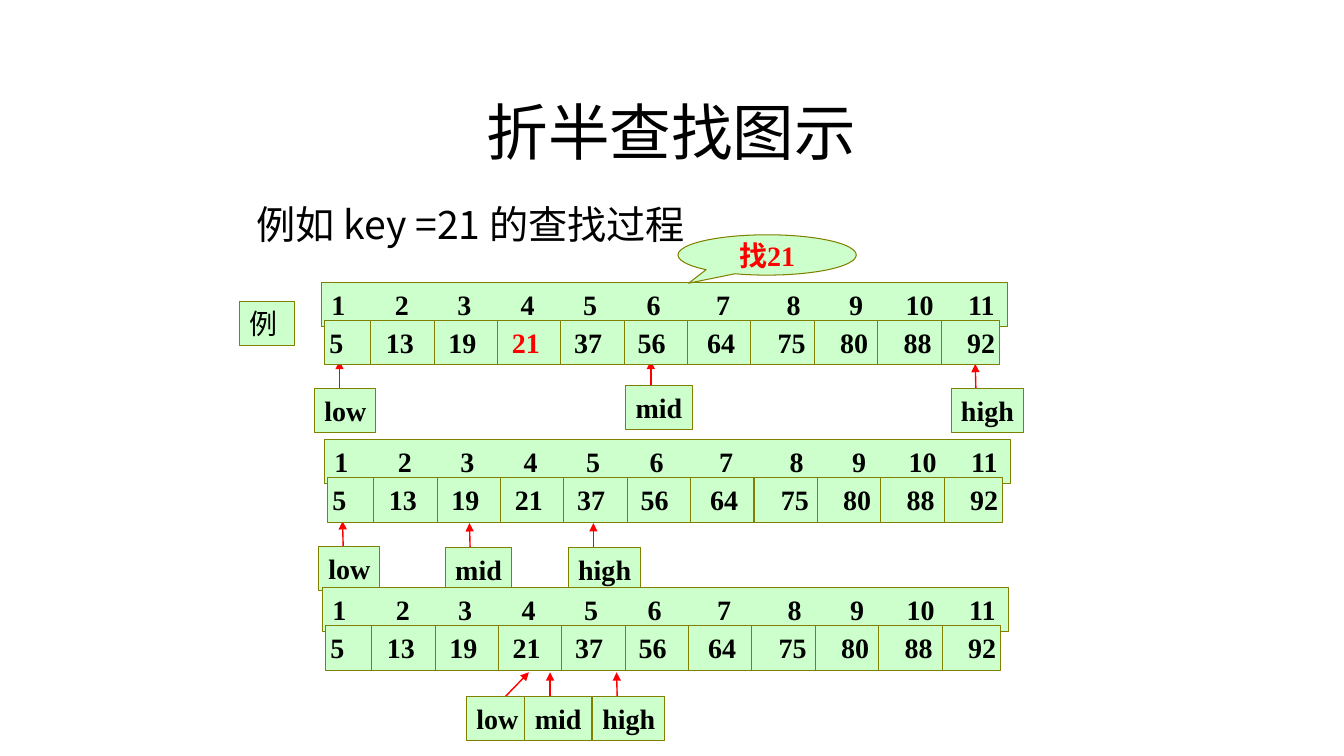
from lxml.etree import SubElement
from pptx import Presentation
from pptx.dml.color import RGBColor
from pptx.enum.shapes import MSO_CONNECTOR, MSO_SHAPE
from pptx.enum.text import MSO_ANCHOR, PP_ALIGN
from pptx.oxml.ns import qn
from pptx.util import Inches, Pt

SERIF = "Times New Roman"
SANS = "Noto Sans CJK SC"
GREEN, OLIVE, RED, BLACK = "CCFFCC", "808000", "FF0000", "000000"

ROW = 0.44
CELL = 0.629
FIRST_CELL = 0.46
LABEL_WIDTHS = {"low": 0.61, "mid": 0.66, "high": 0.72}

INDEXES = [str(number) for number in range(1, 12)]
VALUES = ["5", "13", "19", "21", "37", "56", "64", "75", "80", "88", "92"]
INDEX_TABS = [0.63, 1.25, 1.88, 2.5, 3.13, 3.82, 4.52, 5.14, 5.7, 6.32]
VALUE_TABS = [0.56, 1.18, 1.81, 2.43, 3.06, 3.75, 4.45, 5.07, 5.7, 6.33]

# Array left and top, value in red, then pointers: name, label left and top, arrow tip
STEPS = [
    (3.19, 2.8, "21", [("low", 3.12, 3.85, 3.37, 3.58),
                       ("high", 9.44, 3.85, 9.68, 3.61),
                       ("mid", 6.21, 3.82, 6.46, 3.58)]),
    (3.22, 4.36, None, [("low", 3.16, 5.42, 3.4, 5.17),
                        ("high", 5.64, 5.43, 5.89, 5.19),
                        ("mid", 4.42, 5.43, 4.66, 5.19)]),
    (3.2, 5.83, None, [("low", 4.63, 6.91, 5.25, 6.67),
                       ("high", 5.88, 6.91, 6.12, 6.67),
                       ("mid", 5.21, 6.91, 5.46, 6.67)]),
]


def rgb(color):
    return RGBColor.from_string(color)


def style_text(shape, size=20, font=SERIF, color=BLACK, bold=True,
               align=PP_ALIGN.LEFT, anchor=MSO_ANCHOR.TOP, wrap=False):
    frame = shape.text_frame
    frame.word_wrap = wrap
    frame.vertical_anchor = anchor
    paragraph = frame.paragraphs[0]
    paragraph.alignment = align
    paragraph.font.size = Pt(size)
    paragraph.font.name = font
    paragraph.font.bold = bold
    paragraph.font.color.rgb = rgb(color)


def add_text(slide, text, left, top, width, height, **style):
    box = slide.shapes.add_textbox(*map(Inches, (left, top, width, height)))
    box.text_frame.text = text
    style_text(box, bold=False, **style)


def add_green_shape(slide, left, top, width, height, kind=MSO_SHAPE.RECTANGLE):
    shape = slide.shapes.add_shape(kind, *map(Inches, (left, top, width, height)))
    shape.shadow.inherit = False
    shape.fill.solid()
    shape.fill.fore_color.rgb = rgb(GREEN)
    shape.line.color.rgb = rgb(OLIVE)
    shape.line.width = Pt(0.75)
    return shape


def add_label(slide, text, left, top, width, **style):
    label = add_green_shape(slide, left, top, width, ROW)
    label.text_frame.text = text
    style_text(label, **style)


def add_line(slide, start, end, color, width, arrow=False):
    line = slide.shapes.add_connector(MSO_CONNECTOR.STRAIGHT, *map(Inches, (*start, *end)))
    line.line.color.rgb = rgb(color)
    line.line.width = Pt(width)
    properties = line._element.spPr
    if arrow:
        SubElement(properties.find(qn("a:ln")), qn("a:tailEnd"), type="triangle")
    SubElement(properties, qn("a:effectLst"))


def add_strip(slide, numbers, tabs, left, top, width, inset, highlight=None):
    """Draw one band of numbers, each set at its own tab stop."""
    strip = add_green_shape(slide, left, top, width, ROW)
    frame = strip.text_frame
    frame.margin_left, frame.margin_right = Inches(inset), 0
    paragraph = frame.paragraphs[0]
    tab_list = SubElement(paragraph._p.get_or_add_pPr(), qn("a:tabLst"))
    for position in tabs:
        SubElement(tab_list, qn("a:tab"), pos=str(Inches(position)), algn="l")
    for column, number in enumerate(numbers):
        run = paragraph.add_run()
        run.text = f"\t{number}" if column else number
        if number == highlight:
            run.font.color.rgb = rgb(RED)
    style_text(strip, wrap=True)


def add_array(slide, left, top, highlight):
    add_strip(slide, INDEXES, INDEX_TABS, left, top, 6.81, 0.1)
    left, top = left + 0.03, top + 0.38
    add_strip(slide, VALUES, VALUE_TABS, left, top, 6.7, 0.05, highlight)
    for column in range(len(VALUES) - 1):
        x = left + FIRST_CELL + column * CELL
        add_line(slide, (x, top), (x, top + ROW), OLIVE, 0.75)


def add_pointer(slide, name, left, top, tip_x, tip_y):
    add_line(slide, (left + 0.25, top + 0.14), (tip_x, tip_y), RED, 1, arrow=True)
    add_label(slide, name, left, top, LABEL_WIDTHS[name])


def add_callout(slide):
    callout = add_green_shape(slide, 6.73, 2.33, 1.77, 0.4, MSO_SHAPE.OVAL_CALLOUT)
    callout.adjustments[0], callout.adjustments[1] = -0.44, 0.7
    callout.text_frame.text = "找21"
    style_text(callout, color=RED, align=PP_ALIGN.CENTER, anchor=MSO_ANCHOR.MIDDLE)


def main():
    presentation = Presentation()
    presentation.slide_width = Inches(13.34)
    presentation.slide_height = Inches(7.5)
    slide = presentation.slides.add_slide(presentation.slide_layouts[6])

    add_text(slide, "折半查找图示", 1, 0.67, 11.33, 1.25, size=44,
             align=PP_ALIGN.CENTER, anchor=MSO_ANCHOR.MIDDLE, wrap=True)
    add_label(slide, "例", 2.38, 2.99, 0.54, bold=False)
    for left, top, highlight, pointers in STEPS:
        for pointer in pointers:
            add_pointer(slide, *pointer)
        add_array(slide, left, top, highlight)
    add_callout(slide)
    add_text(slide, "例如 key =21 的查找过程", 2.45, 1.94, 4.68, 0.57, size=28, font=SANS)

    presentation.save("out.pptx")


if __name__ == "__main__":
    main()
